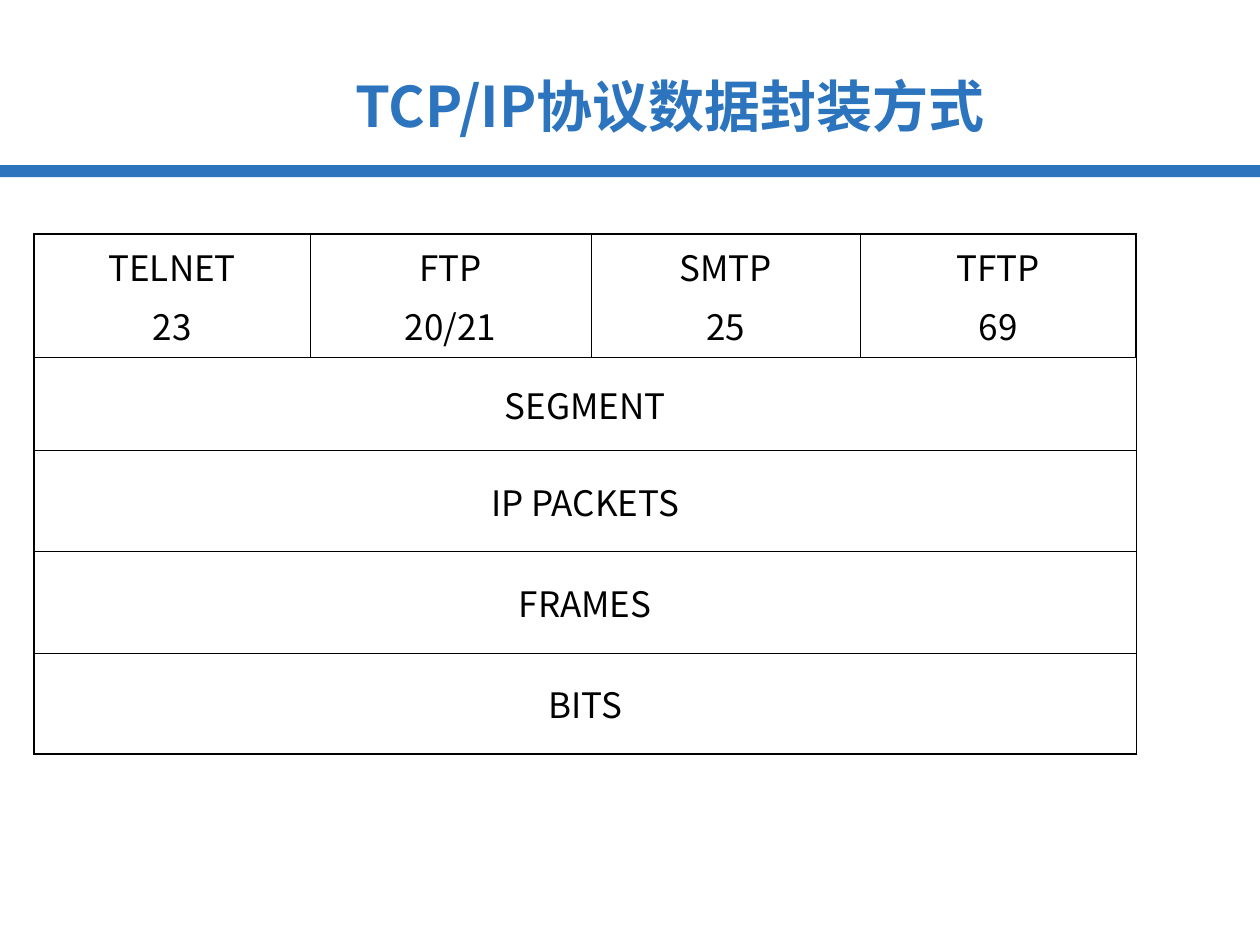
from lxml.etree import SubElement
from pptx import Presentation
from pptx.dml.color import RGBColor
from pptx.enum.shapes import MSO_SHAPE as Shape
from pptx.enum.text import MSO_ANCHOR as Anchor, PP_ALIGN as Align
from pptx.oxml import parse_xml
from pptx.oxml.ns import nsdecls, qn
from pptx.util import Pt

BLUE, BLACK = "2C75BE", "000000"
THICK, THIN = 1.08, 0.45


def colour(value):
    return RGBColor.from_string(value)


class SlideBuilder:
    """Holds the font and the current slide, and adds styled elements to it."""

    def __init__(self, slide, font="Noto Sans CJK SC"):
        self.slide = slide
        self.font = font

    def set_text(self, text_frame, text, size, hue, bold=False, gap=0):
        text_frame.text = text
        for index, paragraph in enumerate(text_frame.paragraphs):
            paragraph.alignment = Align.CENTER
            if index:
                paragraph.space_before = Pt(gap)
            for run in paragraph.runs:
                run.font.size = Pt(size)
                run.font.bold = bold
                run.font.color.rgb = colour(hue)
                run.font.name = self.font
                SubElement(run.font._element, qn("a:ea"), typeface=self.font)

    def bar(self, left, top, width, height, hue):
        shape = self.slide.shapes.add_shape(
            Shape.RECTANGLE, Pt(left), Pt(top), Pt(width), Pt(height))
        shape.shadow.inherit = False
        shape.fill.solid()
        shape.fill.fore_color.rgb = colour(hue)
        shape.line.fill.background()

    def title(self, left, top, width, height, text):
        box = self.slide.shapes.add_textbox(Pt(left), Pt(top), Pt(width), Pt(height))
        text_frame = box.text_frame
        text_frame.word_wrap = True
        text_frame.vertical_anchor = Anchor.MIDDLE
        self.set_text(text_frame, text, 32, BLUE, bold=True)

    def borders(self, cell, sides):
        properties = cell._tc.get_or_add_tcPr()
        for index, (side, width) in enumerate(sides.items()):
            properties.insert(index, parse_xml(
                f'<a:ln{side} {nsdecls("a")} w="{Pt(width)}"><a:solidFill>'
                f'<a:srgbClr val="{BLACK}"/></a:solidFill></a:ln{side}>'))

    def table(self, left, top, widths, heights, rows):
        frame = self.slide.shapes.add_table(
            len(heights), len(widths), Pt(left), Pt(top),
            Pt(sum(widths)), Pt(sum(heights)))
        table = frame.table
        table.first_row = table.horz_banding = False
        for column, width in zip(table.columns, widths):
            column.width = Pt(width)
        last_row, last_column = len(heights) - 1, len(widths) - 1
        for r, (height, texts) in enumerate(zip(heights, rows)):
            table.rows[r].height = Pt(height)
            for c in range(len(widths)):
                cell = table.cell(r, c)
                cell.fill.background()
                self.borders(cell, {
                    "L": THIN if c else THICK,
                    "R": THICK if c == last_column else THIN,
                    "T": THIN if r else THICK,
                    "B": THICK if r == last_row else THIN})
            if len(texts) == 1:
                table.cell(r, 0).merge(table.cell(r, last_column))
            for c, text in enumerate(texts):
                cell = table.cell(r, c)
                cell.vertical_anchor = Anchor.MIDDLE
                cell.margin_left = cell.margin_right = Pt(8.64)
                cell.margin_top = cell.margin_bottom = Pt(3.6)
                self.set_text(cell.text_frame, text, 20, BLACK, gap=5)


def main():
    presentation = Presentation()
    presentation.slide_width, presentation.slide_height = Pt(720), Pt(540)
    builder = SlideBuilder(
        presentation.slides.add_slide(presentation.slide_layouts[6]))
    builder.bar(0, 94.3, 720, 7, BLUE)
    builder.title(129.6, 33.8, 507, 52.6, "TCP/IP协议数据封装方式")
    builder.table(
        19.6, 133.8, [157.7, 160.5, 153.9, 157.5], [70.4, 53.2, 57.8, 58.2, 57.5],
        [["TELNET\n23", "FTP\n20/21", "SMTP\n25", "TFTP\n69"],
         ["SEGMENT"], ["IP PACKETS"], ["FRAMES"], ["BITS"]])
    presentation.save("out.pptx")


if __name__ == "__main__":
    main()
